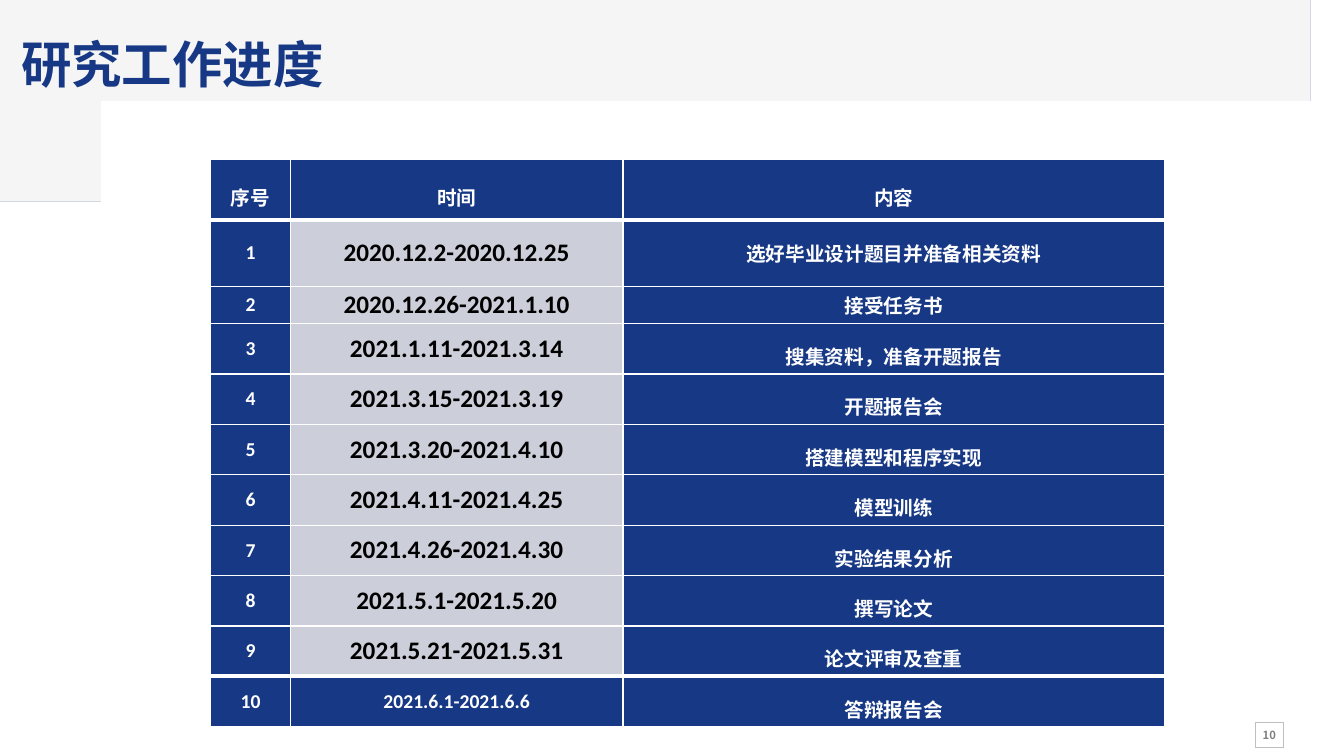
from lxml.etree import SubElement
from pptx import Presentation
from pptx.dml.color import RGBColor
from pptx.enum.shapes import MSO_SHAPE
from pptx.enum.text import MSO_ANCHOR, MSO_AUTO_SIZE, PP_ALIGN
from pptx.oxml.ns import qn
from pptx.util import Inches, Pt

NAVY, PALE, WHITE = "173885", "CCCED9", "FFFFFF"
HAN = "Noto Sans CJK SC"
WIDTHS = [0.79, 3.3, 5.37]
HEIGHTS = [0.6, 0.66, 0.37] + [0.5] * 8
HEADS = ["序号", "时间", "内容"]
TASKS = [
    ("2020.12.2-2020.12.25", "选好毕业设计题目并准备相关资料"),
    ("2020.12.26-2021.1.10", "接受任务书"),
    ("2021.1.11-2021.3.14", "搜集资料，准备开题报告"),
    ("2021.3.15-2021.3.19", "开题报告会"),
    ("2021.3.20-2021.4.10", "搭建模型和程序实现"),
    ("2021.4.11-2021.4.25", "模型训练"),
    ("2021.4.26-2021.4.30", "实验结果分析"),
    ("2021.5.1-2021.5.20", "撰写论文"),
    ("2021.5.21-2021.5.31", "论文评审及查重"),
    ("2021.6.1-2021.6.6", "答辩报告会"),
]


def paint(target, color):
    """Give a fill a solid colour from a hex string."""
    target.solid()
    target.fore_color.rgb = RGBColor.from_string(color)


def write(frame, text, size=14, color=WHITE, font="Calibri",
          align=PP_ALIGN.CENTER, anchor=MSO_ANCHOR.MIDDLE, space=1, after=0):
    """Put one bold paragraph into a text frame."""
    frame.vertical_anchor = anchor
    line = frame.paragraphs[0]
    line.alignment, line.line_spacing = align, space
    line.space_before, line.space_after = Pt(0), Pt(after)
    run = line.add_run()
    run.text = text
    run.font.size, run.font.bold, run.font.name = Pt(size), True, font
    paint(run.font.fill, color)
    SubElement(run.font._element, qn("a:ea"), typeface=HAN)


def bend(start, one, two, end, steps=40):
    """List the points along a cubic curve after its start."""
    points = []
    for step in range(1, steps + 1):
        t = step / steps
        parts = ((1 - t) ** 3, 3 * t * (1 - t) ** 2, 3 * t * t * (1 - t), t ** 3)
        points.append(tuple(sum(p * k[axis] for p, k in zip(parts, (start, one, two, end)))
                            for axis in (0, 1)))
    return points


def wave(slide, box, points, color, alpha=100):
    """Draw a filled outline with points relative to its box."""
    left, top = box
    spots = [(left + x, top + y) for x, y in points]
    pen = slide.shapes.build_freeform(*spots[0], scale=Inches(1))
    pen.add_line_segments(spots[1:], close=True)
    shape = pen.convert_to_shape()
    shape.shadow.inherit = False
    shape.line.fill.background()
    paint(shape.fill, color)
    if alpha < 100:
        tint = shape.fill._xPr.find(qn("a:solidFill"))[0]
        SubElement(tint, qn("a:alpha"), val=str(alpha * 1000))


def header(slide, box):
    """Draw the two waves across the top."""
    knot = (2.14, 1.09)
    crest = bend((13.33, 0.69), (10.32, -0.16), (5.14, 0.45), knot)
    tail = bend(knot, (1.54, 1.21), (0.86, 1.4), (0.14, 1.62))
    left, top = box
    wave(slide, (left, top + 0.22),
         [(0, 1.67), (0, 0), (13.34, 0), (13.34, 0.69), (13.33, 0.69)] + crest + tail,
         NAVY, 70)
    edge = bend((13.33, 1.19), (11.4, 0.87), (5.17, 0.45), (0, 1.73))
    wave(slide, box, [(0, 0), (13.33, 0), (13.33, 1.19)] + edge, "F5F5F5")


def badge(slide, box):
    """Draw the framed page number."""
    shape = slide.shapes.add_shape(MSO_SHAPE.RECTANGLE, *map(Inches, box))
    shape.shadow.inherit = False
    shape.fill.background()
    paint(shape.line.fill, "BFBFBF")
    shape.line.width = Pt(0.75)
    frame = shape.text_frame
    frame.word_wrap = False
    frame.margin_left = frame.margin_right = Inches(0.08)
    frame.margin_top = frame.margin_bottom = Inches(0.08)
    write(frame, "10", size=8, color="808080", font=HAN)


def title(slide, box):
    """Place and format the slide title above the waves."""
    shape = slide.shapes.title
    shape.left, shape.top, shape.width, shape.height = map(Inches, box)
    shape.element.getparent().append(shape.element)
    frame = shape.text_frame
    frame.word_wrap = False
    frame.auto_size = MSO_AUTO_SIZE.SHAPE_TO_FIT_TEXT
    write(frame, "研究工作进度", size=36, color=NAVY, font=HAN,
          align=PP_ALIGN.LEFT, anchor=MSO_ANCHOR.TOP, after=6)


def border(cell, top, bottom):
    """Give a cell white edges with the given top and bottom widths."""
    props = cell._tc.get_or_add_tcPr()
    for side, width in zip("LRTB", (1, 1, top, bottom)):
        edge = SubElement(props, qn("a:ln" + side), w=str(Pt(width)))
        SubElement(SubElement(edge, qn("a:solidFill")), qn("a:srgbClr"), val=WHITE)


def schedule(slide, box):
    """Build the table of dates and tasks."""
    rows = [HEADS] + [(str(n), *task) for n, task in enumerate(TASKS, 1)]
    last = len(rows) - 1
    grid = slide.shapes.add_table(len(rows), len(HEADS), *map(Inches, box)).table
    grid.first_row = grid.horz_banding = False
    for column, width in zip(grid.columns, WIDTHS):
        column.width = Inches(width)
    for r, texts in enumerate(rows):
        grid.rows[r].height = Inches(HEIGHTS[r])
        for c, text in enumerate(texts):
            cell = grid.cell(r, c)
            cell.margin_left = cell.margin_right = Inches(0.07)
            cell.margin_top = cell.margin_bottom = 0
            cell.vertical_anchor = MSO_ANCHOR.MIDDLE
            border(cell, 3 if r in (1, last) else 1, 3 if r in (0, last - 1) else 1)
            date = c == 1 and 0 < r < last
            paint(cell.fill, PALE if date else NAVY)
            loose = r == 0 or (c == 2 and r > 2)
            write(cell.text_frame, text, size=18 if date else 14,
                  color="000000" if date else WHITE, space=1.5 if loose else 1)


def main():
    """Build the slide and save it."""
    deck = Presentation()
    deck.slide_width, deck.slide_height = Inches(13.33), Inches(7.5)
    slide = deck.slides.add_slide(deck.slide_layouts[5])
    paint(slide.background.fill, WHITE)
    header(slide, (0, 0))
    badge(slide, (12.45, 7.17, 0.28, 0.25))
    title(slide, (0.11, 0.28, 3.23, 0.71))
    schedule(slide, (2.09, 1.58, sum(WIDTHS), sum(HEIGHTS)))
    deck.save("out.pptx")


if __name__ == "__main__":
    main()
